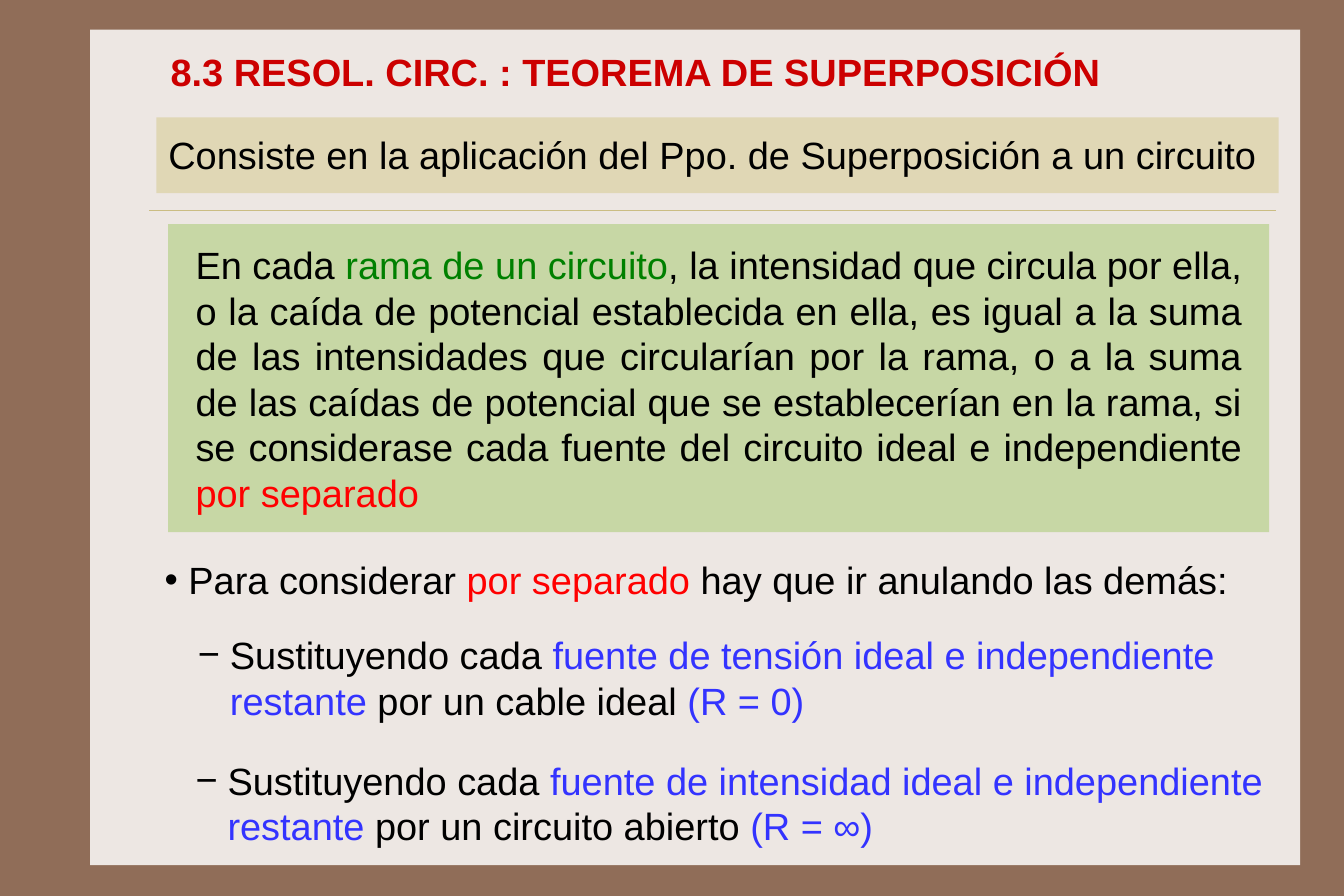
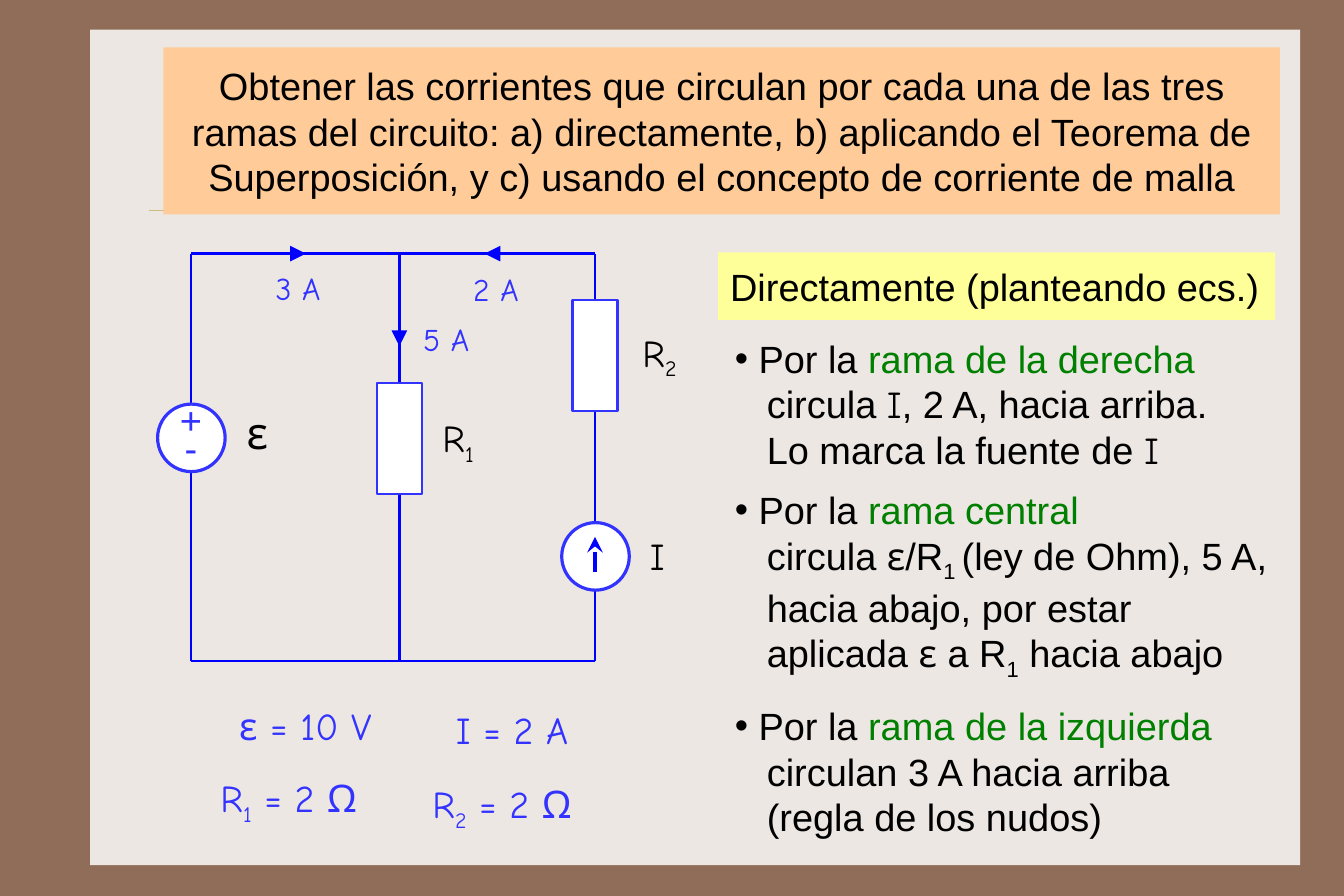
import pptx
import pptx.util
import pptx.dml.color
import pptx.enum.shapes
import pptx.enum.text
import lxml.etree
import pptx.oxml.ns

RGB = pptx.dml.color.RGBColor
SHAPE = pptx.enum.shapes.MSO_SHAPE
ALIGN = pptx.enum.text.PP_ALIGN
ANCHOR = pptx.enum.text.MSO_ANCHOR
Pt = pptx.util.Pt
qn = pptx.oxml.ns.qn

PX = 9525  # 96 px to the inch
BROWN = RGB(0x90, 0x6D, 0x58)
PAPER = RGB(0xED, 0xE7, 0xE3)
RULE = RGB(0xCB, 0xBD, 0x83)
SAND = RGB(0xE0, 0xD7, 0xB5)
MINT = RGB(0xC7, 0xD7, 0xA5)
PEACH = RGB(0xFF, 0xCC, 0x99)
LEMON = RGB(0xFF, 0xFF, 0x99)
WHITE = RGB(0xFF, 0xFF, 0xFF)
BLACK = RGB(0, 0, 0)
WIRE = RGB(0, 0, 0xFF)
BLUE = RGB(0x33, 0x33, 0xFF)
GREEN = RGB(0, 0x80, 0)
RED = RGB(0xFF, 0, 0)
CRIMSON = RGB(0xCC, 0, 0)

BODY = {"size": Pt(24), "name": "Arial", "rgb": BLACK}
COMIC = {"name": "Comic Neue"}
HAND = {**BODY, **COMIC}
INK = {**HAND, "rgb": BLUE}
TITLE = {**BODY, "rgb": CRIMSON, "bold": True}
SUB = {"sub": True}
BLUES = {"rgb": BLUE}
GREENS = {"rgb": GREEN}
REDS = {"rgb": RED}

LEFT, MID, RIGHT = 161, 337, 502
TOP, BASE = 214, 558


def px(*vals):
    return [pptx.util.Emu(val * PX) for val in vals]


def write(para, runs, base):
    """Add runs to a paragraph; each is a string or (string, changes to base)."""
    for item in runs:
        text, diff = (item, {}) if isinstance(item, str) else item
        run = para.add_run()
        run.text = text
        for key, val in {**base, **diff}.items():
            if key == "rgb":
                run.font.color.rgb = val
            elif key == "sub":
                run._r.get_or_add_rPr().set("baseline", "-25000")
            else:
                setattr(run.font, key, val)


def indent(para, left, mark=None):
    props = para._p.get_or_add_pPr()
    props.set("marL", str(left * PX))
    props.set("indent", str(-left * PX if mark else 0))
    if mark:
        lxml.etree.SubElement(props, qn("a:buFont")).set("typeface", "Arial")
        lxml.etree.SubElement(props, qn("a:buChar")).set("char", mark)


def fill_text(shape, lines, base=BODY, pad=(10, 12), align=ALIGN.LEFT,
              anchor=ANCHOR.TOP, mark=None, hang=(0, 0), lead=None):
    """Write one paragraph per line; hang gives first and later indents."""
    frame = shape.text_frame
    side, edge = px(*pad)
    form = {"word_wrap": True, "vertical_anchor": anchor,
            "margin_left": side, "margin_right": side,
            "margin_top": edge, "margin_bottom": edge}
    for key, val in form.items():
        setattr(frame, key, val)
    for num, runs in enumerate(lines):
        para = frame.add_paragraph() if num else frame.paragraphs[0]
        if mark:
            indent(para, hang[min(num, 1)], None if num else mark)
        para.alignment = align
        if lead:
            para.line_spacing = lead
        write(para, runs, base)


def text(slide, at, lines, **form):
    fill_text(slide.shapes.add_textbox(*px(*at)), lines, **form)


def block(slide, at, fill, kind=SHAPE.RECTANGLE, line=None, width=1.5):
    shape = slide.shapes.add_shape(kind, *px(*at))
    shape.shadow.inherit = False
    shape.fill.solid()
    shape.fill.fore_color.rgb = fill
    if line is None:
        shape.line.fill.background()
    else:
        shape.line.color.rgb = line
        shape.line.width = Pt(width)
    return shape


def panel(slide, at, fill, lines, **form):
    fill_text(block(slide, at, fill), lines, **form)


def wire(slide, ends, width=1.5, colour=WIRE, tip=None):
    line = slide.shapes.add_connector(
        pptx.enum.shapes.MSO_CONNECTOR.STRAIGHT, *px(*ends))
    line.line.color.rgb = colour
    line.line.width = Pt(width)
    if tip:
        stroke = line.line._get_or_add_ln()
        head = lxml.etree.SubElement(stroke, qn("a:tailEnd"))
        for key, val in {"type": tip, "w": "lg", "len": "lg"}.items():
            head.set(key, val)
    lxml.etree.SubElement(line._element.spPr, qn("a:effectLst"))


def label(slide, at, runs, base=HAND):
    text(slide, at, [runs], base=base, pad=(9, 5), align=ALIGN.CENTER)


def page(deck):
    slide = deck.slides.add_slide(deck.slide_layouts[6])
    block(slide, (76, 25, 1021, 705), PAPER)
    wire(slide, (126, 177, 1077, 177), 0.25, RULE)
    return slide


def theorem(slide):
    panel(slide, (142, 189, 929, 260), MINT, [[
        "En cada ", ("rama de un circuito", GREENS),
        ", la intensidad que circula por ella, o la caída de potencial "
        "establecida en ella, es igual a la suma de las intensidades que "
        "circularían por la rama, o a la suma de las caídas de potencial que "
        "se establecerían en la rama, si se considerase cada fuente del "
        "circuito ideal e independiente ", ("por separado", REDS)]],
        pad=(23, 12), align=ALIGN.JUSTIFY, anchor=ANCHOR.MIDDLE)
    panel(slide, (132, 99, 947, 64), SAND, [[
        "Consiste en la aplicación del Ppo. de Superposición a un circuito"]])
    text(slide, (133, 36, 920, 49),
         [["8.3 RESOL. CIRC. : TEOREMA DE SUPERPOSICIÓN"]],
         base=TITLE, pad=(11, 5), anchor=ANCHOR.MIDDLE)
    text(slide, (129, 458, 929, 64), [[
        "Para considerar ", ("por separado", REDS),
        " hay que ir anulando las demás:"]], mark="•", hang=(20, 27))
    for at, source, swap, value in (
            ((157, 521, 884, 103), "tensión", "cable ideal", "(R = 0)"),
            ((155, 627, 938, 103), "intensidad", "circuito abierto", "(R = ∞)")):
        text(slide, at, [
            ["Sustituyendo cada ",
             (f"fuente de {source} ideal e independiente", BLUES)],
            [("restante", BLUES), f" por un {swap} ", (value, BLUES)]],
            mark="−", hang=(27, 27))


def circuit(slide):
    for x in (LEFT, MID, RIGHT):
        wire(slide, (x, BASE, x, TOP))
    for y in (TOP, BASE):
        wire(slide, (LEFT, y, RIGHT, y))
    for x, y in ((MID, 323), (RIGHT, 253)):
        block(slide, (x - 19, y, 38, 94), WHITE, line=BLUE)
    for x, y in ((LEFT, 341), (RIGHT, 441)):
        block(slide, (x - 28, y, 57, 57), WHITE, SHAPE.OVAL, BLUE, 2)
    wire(slide, (RIGHT, 483, RIGHT, 453), 2, tip="stealth")
    text(slide, (LEFT - 19, 349, 38, 48), [["+"], ["-"]], base={**BODY, **BLUES},
         pad=(0, 0), align=ALIGN.CENTER, lead=Pt(18))

    for at, runs in (
            ((507, 273, 99, 61), ["R", ("2", SUB)]),
            ((349, 345, 75, 61), ["R", ("1", SUB)]),
            ((516, 444, 77, 61), ["I"]),
            ((190, 337, 54, 61), [("ε", {"size": Pt(28)})])):
        label(slide, at, runs)
    for at, runs in (
            ((167, 588, 181, 61), ["ε = 10 V"]),
            ((347, 591, 170, 61), ["I = 2 A"]),
            ((116, 649, 255, 61), ["R", ("1", SUB), " = 2 Ω"]),
            ((296, 654, 255, 61), ["R", ("2", SUB), " = 2 Ω"])):
        label(slide, at, runs, INK)
    for ends, x, y, amps in (
            ((430, TOP, 409, TOP), 374, 223, "2 A"),
            ((238, TOP, 258, TOP), 207, 222, "3 A"),
            ((MID, 272, MID, 292), 332, 265, "5 A")):
        wire(slide, ends, 1, tip="triangle")
        label(slide, (x, y, 89, 61), [amps], {**INK, "size": Pt(20)})


def exercise(slide):
    panel(slide, (138, 40, 942, 141), PEACH, [[
        "Obtener las corrientes que circulan por cada una de las tres ramas "
        "del circuito: a) directamente, b) aplicando el Teorema de "
        "Superposición, y c) usando el concepto de corriente de malla"]],
        align=ALIGN.CENTER, anchor=ANCHOR.MIDDLE)
    circuit(slide)
    panel(slide, (606, 213, 470, 57), LEMON, [["Directamente (planteando ecs.)"]],
          pad=(10, 9), anchor=ANCHOR.MIDDLE)
    for y, high, branch, rest in (
            (271, 139, "rama de la derecha", [
                ["circula ", ("I", COMIC), ", 2 A, hacia arriba."],
                ["Lo marca la fuente de ", ("I", COMIC)]]),
            (404, 178, "rama central", [
                ["circula ", ("ε", COMIC), "/R", ("1 ", SUB),
                 "(ley de Ohm), 5 A,"],
                ["hacia abajo, por estar"],
                ["aplicada ", ("ε", COMIC), " a R", ("1", SUB),
                 " hacia abajo"]]),
            (581, 139, "rama de la izquierda", [
                ["circulan 3 A hacia arriba"], ["(regla de los nudos)"]])):
        text(slide, (608, y, 490, high), [["Por la ", (branch, GREENS)], *rest],
             pad=(12, 12), anchor=ANCHOR.MIDDLE, mark="•", hang=(20, 27))


def main():
    deck = pptx.Presentation()
    deck.slide_width, deck.slide_height = px(1134, 756)
    back = deck.slide_master.background.fill
    back.solid()
    back.fore_color.rgb = BROWN
    theorem(page(deck))
    exercise(page(deck))
    deck.save("out.pptx")


if __name__ == "__main__":
    main()
